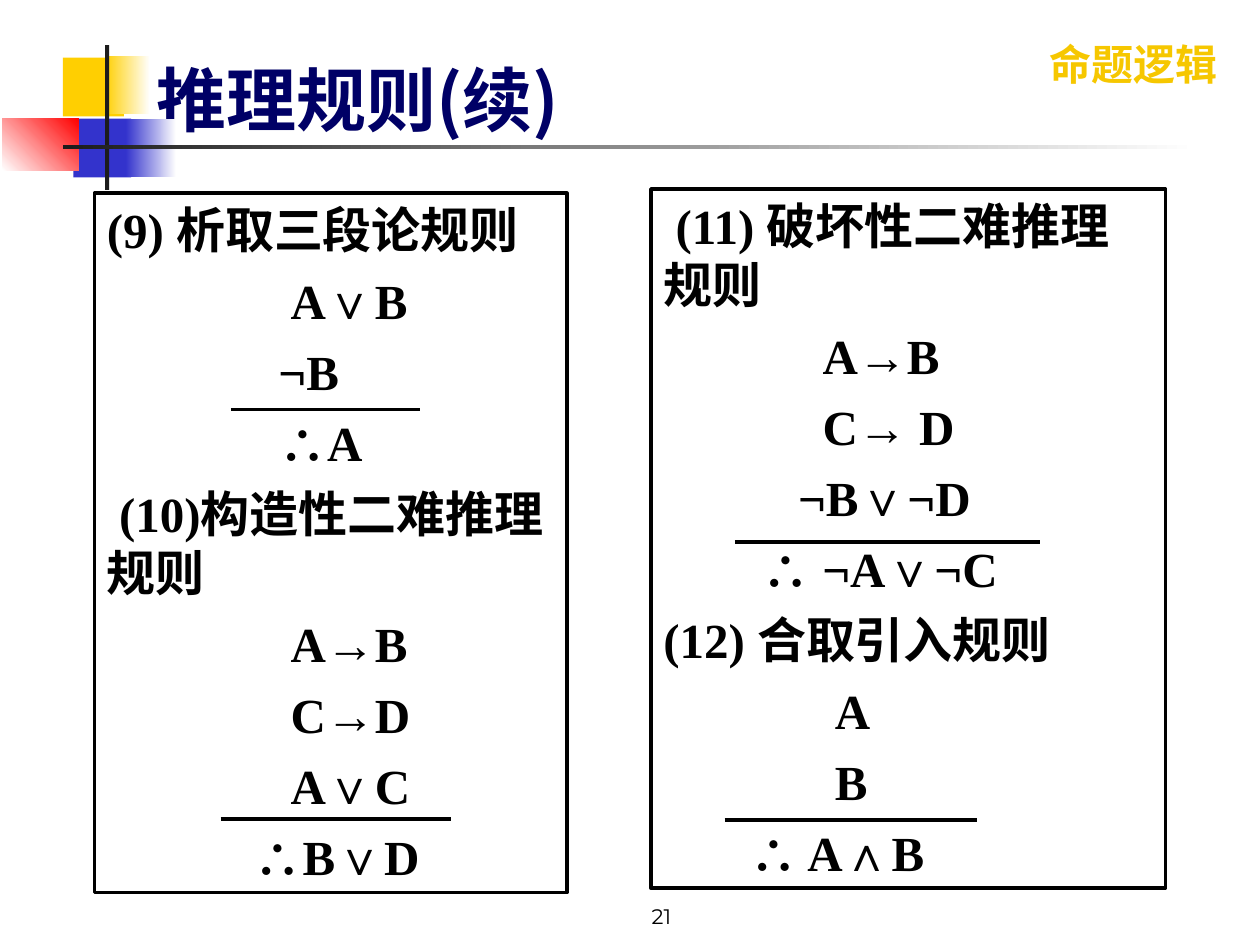
from pptx import Presentation
from pptx.dml.color import RGBColor
from pptx.enum.shapes import MSO_CONNECTOR as CONN, MSO_SHAPE as SHAPE
from pptx.enum.text import MSO_ANCHOR as ANCHOR, MSO_AUTO_SIZE as FIT, PP_ALIGN as ALIGN
from pptx.oxml.ns import qn
from pptx.util import Inches, Pt
from lxml.etree import SubElement

BLACK = RGBColor(0x00, 0x00, 0x00)
CHARCOAL = RGBColor(0x1C, 0x1C, 0x1C)
WHITE = RGBColor(0xFF, 0xFF, 0xFF)
YELLOW = RGBColor(0xFF, 0xCF, 0x01)
GOLD = RGBColor(0xF6, 0xC7, 0x00)
BLUE = RGBColor(0x33, 0x33, 0xCC)
NAVY = RGBColor(0x00, 0x00, 0x66)
RED = RGBColor(0xFF, 0x00, 0x00)

COLS, ROWS = 120, 90
RULE_SIZE = 28
SPACE = Pt(RULE_SIZE / 4)


def write(p, text, font="Times New Roman", size=RULE_SIZE, color=BLACK, bold=True,
          align=ALIGN.LEFT, before=0, indent=0, hanging=0):
    p.alignment = align
    p.space_before = Pt(before)
    pPr = p._p.get_or_add_pPr()
    pPr.set("marL", str(indent))
    pPr.set("indent", str(hanging))
    r = p.add_run()
    r.text = text
    r.font.name, r.font.size, r.font.bold = font, Pt(size), bold
    r.font.color.rgb = color
    return r


class Deck:
    def __init__(self):
        self.prs = Presentation()
        self.prs.slide_width, self.prs.slide_height = Inches(10), Inches(7.5)
        self.slide = self.prs.slides.add_slide(self.prs.slide_layouts[5])
        self.shapes = self.slide.shapes

    def x(self, cols):
        return int(self.prs.slide_width * cols / COLS)

    def y(self, rows):
        return int(self.prs.slide_height * rows / ROWS)

    def area(self, x, y, w, h):
        return self.x(x), self.y(y), self.x(w), self.y(h)

    def rect(self, *place):
        sp = self.shapes.add_shape(SHAPE.RECTANGLE, *self.area(*place))
        sp.shadow.inherit = False
        return sp

    def block(self, place, *colors, angle=0):
        sp = self.rect(*place)
        sp.line.fill.background()
        if len(colors) == 1:
            sp.fill.solid()
            sp.fill.fore_color.rgb = colors[0]
            return
        sp.fill.gradient()
        sp.fill.gradient_angle = angle
        for stop, color in zip(sp.fill.gradient_stops, colors):
            stop.color.rgb = color

    def title(self, text, place, **style):
        sp = self.shapes.title
        sp.left, sp.top, sp.width, sp.height = self.area(*place)
        tf = sp.text_frame
        tf.auto_size, tf.vertical_anchor = FIT.NONE, ANCHOR.BOTTOM
        r = write(tf.paragraphs[0], text, **style)
        SubElement(r._r.get_or_add_rPr(), qn("a:ea"), typeface=style["font"])

    def label(self, text, place, wrap=True, anchor=ANCHOR.TOP, **style):
        tf = self.shapes.add_textbox(*self.area(*place)).text_frame
        tf.word_wrap, tf.vertical_anchor = wrap, anchor
        write(tf.paragraphs[0], text, **style)

    def rules(self, place, lines):
        sp = self.rect(*place)
        sp.fill.background()
        sp.line.color.rgb, sp.line.width = BLACK, Pt(2)
        tf = sp.text_frame
        tf.word_wrap, tf.vertical_anchor = True, ANCHOR.TOP
        for i, (spaces, text) in enumerate(lines):
            p = tf.add_paragraph() if i else tf.paragraphs[0]
            heading = text.startswith("(")
            write(p, text, before=7 if i else 0,
                  indent=0 if heading else spaces * SPACE,
                  hanging=spaces * SPACE if heading else 0)

    def inference_bar(self, x1, x2, y):
        ln = self.shapes.add_connector(CONN.STRAIGHT, self.x(x1), self.y(y), self.x(x2), self.y(y))
        ln.line.color.rgb, ln.line.width = BLACK, Pt(2)
        SubElement(ln._element.spPr, qn("a:effectLst"))


def main():
    deck = Deck()
    deck.block((6, 5.5, 5.8, 5.6), YELLOW)
    deck.block((10, 5.3, 4.3, 5.6), YELLOW, WHITE)
    deck.block((7, 11.3, 5.5, 5.6), BLUE)
    deck.block((12, 11.3, 4.8, 5.6), BLUE, WHITE)
    deck.block((0.2, 11.3, 7.3, 4.9), WHITE, RED, angle=45)
    deck.block((10, 4.3, 0.4, 13.8), CHARCOAL)
    deck.block((6, 13.8, 108, 0.4), CHARCOAL, WHITE)

    deck.label("命题逻辑", (98.8, 3.1, 18.5, 6), wrap=False, font="Cabin", size=24, color=GOLD)
    deck.label("21", (44, 83, 38, 6), anchor=ANCHOR.BOTTOM, font="Montserrat", size=12,
               bold=False, align=ALIGN.CENTER)
    deck.title("推理规则(续)", (13.7, 5, 108, 9), font="Noto Sans CJK SC", size=40, color=NAVY)

    deck.rules((62, 18, 49, 66.6), [
        (1, "(11) 破坏性二难推理规则"),
        (13, "A→B"), (13, "C→ D"), (11, "¬B∨¬D"), (8, "∴ ¬A∨¬C"),
        (0, "(12) 合取引入规则"),
        (14, "A"), (14, "B"), (7, "∴ A∧B")])
    deck.inference_bar(70, 99, 51.6)
    deck.inference_bar(69, 93, 78.1)

    deck.rules((9, 18.4, 45, 66.6), [
        (0, "(9) 析取三段论规则"),
        (15, "A∨B"), (14, "¬B"), (14, "∴A"),
        (1, "(10)构造性二难推理规则"),
        (15, "A→B"), (15, "C→D"), (15, "A∨C"), (12, "∴B∨D")])
    deck.inference_bar(22, 40, 39)
    deck.inference_bar(21, 43, 78)

    deck.prs.save("out.pptx")


if __name__ == "__main__":
    main()
